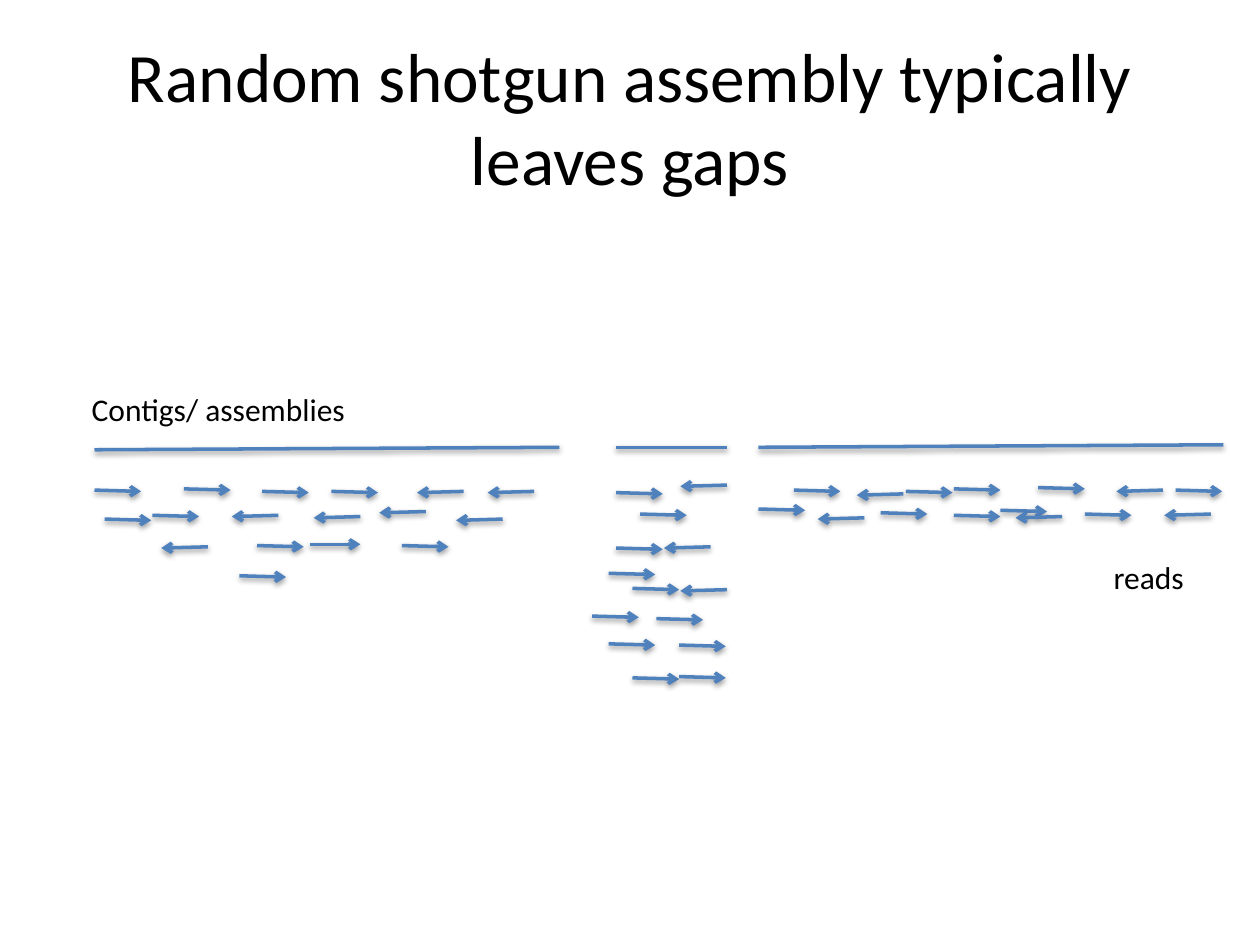
from dataclasses import dataclass

from lxml import etree
from pptx import Presentation
from pptx.dml.color import RGBColor as RGB
from pptx.enum.shapes import MSO_CONNECTOR as CONN
from pptx.enum.text import MSO_ANCHOR as ANCHOR, MSO_AUTO_SIZE as FIT, PP_ALIGN as ALIGN
from pptx.oxml import parse_xml
from pptx.oxml.ns import nsdecls, qn
from pptx.util import Inches, Pt


@dataclass(frozen=True)
class Theme:
    font: str = "Calibri"
    ink: RGB = RGB(0, 0, 0)
    line: RGB = RGB(0x4F, 0x81, 0xBD)
    title: float = 39.6
    label: float = 18
    stroke: float = 2


T = Theme()

# Content: lengths in inches
TITLE = "Random shotgun assembly typically leaves gaps"
LABELS = [  # text, left, top, width, height
    ("Contigs/ assemblies", 0.63, 3.05, 2.24, 0.4),
    ("reads", 8.74, 4.38, 0.76, 0.4),
]
# Each contig: its line, then the start points of its reads, row by row
CONTIGS = [
    {
        "line": (0.75, 3.57, 4.44, 3.55),
        "forward": [(0.75, 3.89), (1.46, 3.88), (2.08, 3.9), (2.63, 3.9),
                    (0.83, 4.12), (1.21, 4.09),
                    (2.04, 4.33), (3.19, 4.33), (1.9, 4.57)],
        "reverse": [(3.68, 3.9), (4.24, 3.9),
                    (2.21, 4.09), (2.86, 4.1), (3.38, 4.06), (3.99, 4.12),
                    (1.65, 4.34)],
    },
    {
        "line": (4.89, 3.55, 5.77, 3.55),
        "forward": [(4.89, 3.91), (5.08, 4.08), (4.89, 4.35), (4.83, 4.55),
                    (5.02, 4.67), (4.7, 4.89), (5.21, 4.91),
                    (4.83, 5.11), (5.39, 5.12), (5.02, 5.38), (5.39, 5.37)],
        "reverse": [(5.77, 3.85), (5.64, 4.34), (5.77, 4.68)],
    },
    {
        "line": (6.02, 3.55, 9.71, 3.53),
        "forward": [(6.3, 3.89), (7.19, 3.9), (7.57, 3.88), (8.24, 3.87), (9.33, 3.89),
                    (6.02, 4.04), (6.99, 4.07), (7.57, 4.09), (7.94, 4.05), (8.61, 4.08)],
        "reverse": [(7.17, 3.92), (9.23, 3.89),
                    (6.86, 4.11), (8.43, 4.1), (9.61, 4.08)],
    },
]
LEVEL_READ = (2.46, 4.32, 2.86, 4.32)
READ_LENGTH, READ_DROP = 0.37, 0.01

SHADOW = (
    f'<a:effectLst {nsdecls("a")}><a:outerShdw blurRad="40000" dist="20000" dir="5400000" '
    'rotWithShape="0"><a:srgbClr val="000000"><a:alpha val="38000"/></a:srgbClr>'
    "</a:outerShdw></a:effectLst>"
)


def add_run(p, text, size):
    r = p.add_run()
    r.text = text
    r.font.name, r.font.size = T.font, Pt(size)
    r.font.color.rgb = T.ink


def add_line(s, x1, y1, x2, y2, arrow=False):
    c = s.shapes.add_connector(CONN.STRAIGHT, *map(Inches, (x1, y1, x2, y2)))
    c.line.color.rgb, c.line.width = T.line, Pt(T.stroke)
    if arrow:
        etree.SubElement(c.line._get_or_add_ln(), qn("a:tailEnd"), type="arrow")
    c._element.spPr.append(parse_xml(SHADOW))


prs = Presentation()
prs.slide_width, prs.slide_height = Inches(10), Inches(7.5)
s = prs.slides.add_slide(prs.slide_layouts[5])

# Title
sp = s.shapes.title
sp.left, sp.top, sp.width, sp.height = map(Inches, (0.5, 0.3, 9, 1.25))
tf = sp.text_frame
tf.auto_size, tf.vertical_anchor = FIT.NONE, ANCHOR.MIDDLE
tf.paragraphs[0].alignment = ALIGN.CENTER
add_run(tf.paragraphs[0], TITLE, T.title)

# Contigs and the reads that cover them
for contig in CONTIGS:
    add_line(s, *contig["line"])
    for way, step in (("forward", READ_LENGTH), ("reverse", -READ_LENGTH)):
        for x, y in contig[way]:
            add_line(s, x, y, x + step, y + READ_DROP, arrow=True)
add_line(s, *LEVEL_READ, arrow=True)

# Labels
for text, *box in LABELS:
    tf = s.shapes.add_textbox(*map(Inches, box)).text_frame
    tf.word_wrap, tf.auto_size = False, FIT.SHAPE_TO_FIT_TEXT
    add_run(tf.paragraphs[0], text, T.label)

prs.save("out.pptx")
